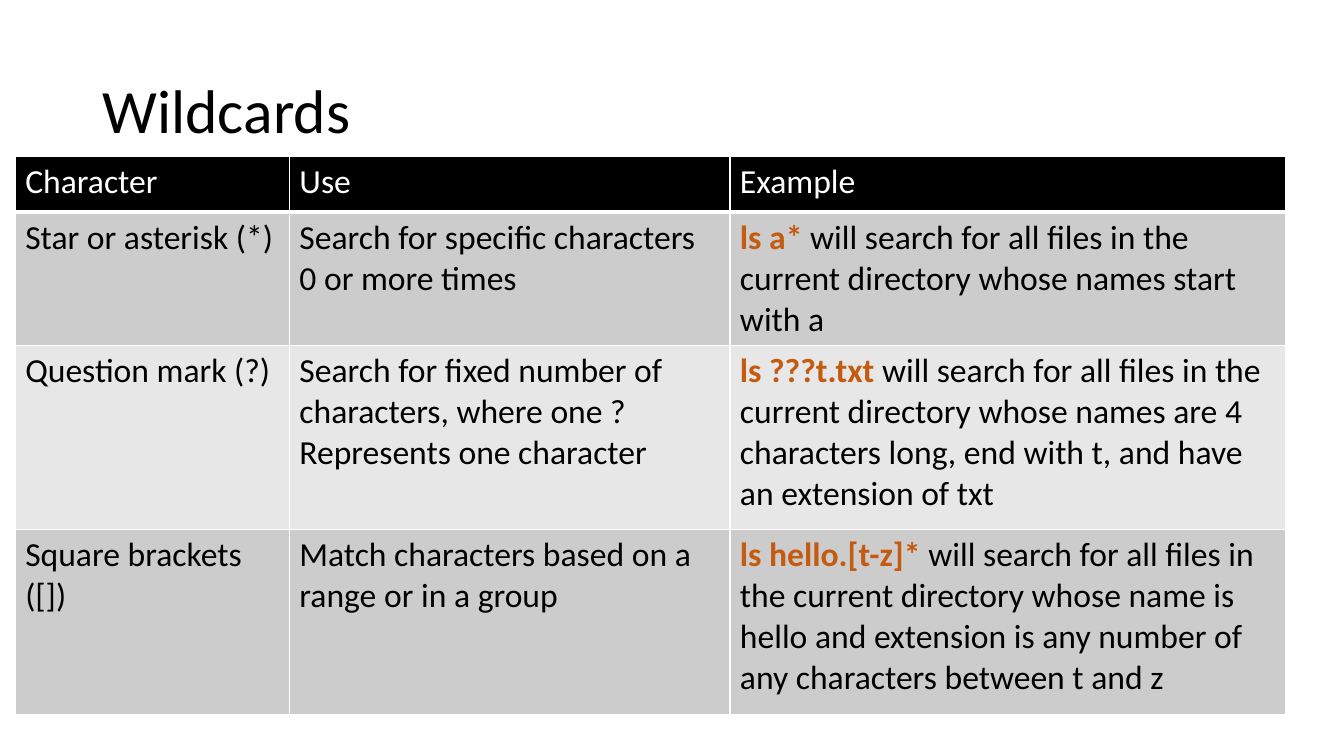
from dataclasses import dataclass

from lxml import etree
from pptx import Presentation
from pptx.dml.color import RGBColor
from pptx.enum.text import MSO_ANCHOR
from pptx.oxml.ns import qn
from pptx.util import Inches, Pt

MIDDLE = MSO_ANCHOR.MIDDLE
BLANK_LAYOUT = 6


@dataclass(frozen=True)
class Theme:
    """Colours, font and type sizes of the slide."""
    font: str = "Calibri"
    title_size: int = 44
    table_size: int = 24
    text: str = "000000"
    header_text: str = "FFFFFF"
    command: str = "C55A11"
    header_fill: str = "000000"
    bands: tuple = ("CCCCCC", "E7E7E7")
    border: str = "FFFFFF"
    border_width: float = 1
    header_rule_width: float = 3


class SlideBuilder:
    """Places styled elements on a slide, with lengths in percent of its size."""

    def __init__(self, presentation, theme):
        """Add a blank slide and remember its size and style."""
        self.width = presentation.slide_width
        self.height = presentation.slide_height
        self.theme = theme
        self.slide = presentation.slides.add_slide(presentation.slide_layouts[BLANK_LAYOUT])

    def across(self, percent):
        """Turn a percentage of the slide width into a length."""
        return round(self.width * percent / 100)

    def down(self, percent):
        """Turn a percentage of the slide height into a length."""
        return round(self.height * percent / 100)

    def style_run(self, run, size, color, bold=False):
        """Give a run its font, size, colour and weight."""
        run.font.name = self.theme.font
        run.font.size = Pt(size)
        run.font.bold = bold
        run.font.color.rgb = RGBColor.from_string(color)

    def add_title(self, text, left, top, width, height):
        """Add a vertically centred title."""
        shape = self.slide.shapes.add_textbox(
            self.across(left), self.down(top), self.across(width), self.down(height))
        frame = shape.text_frame
        frame.word_wrap = True
        frame.vertical_anchor = MIDDLE
        frame.text = text
        paragraph = frame.paragraphs[0]
        paragraph.line_spacing = 0.9
        self.style_run(paragraph.runs[0], self.theme.title_size, self.theme.text)

    def add_table(self, rows, left, top, column_widths, row_heights):
        """Add a banded table whose first row is the header."""
        table = self.slide.shapes.add_table(
            len(rows), len(column_widths), self.across(left), self.down(top),
            self.across(sum(column_widths)), self.down(sum(row_heights))).table
        for column, width in zip(table.columns, column_widths):
            column.width = self.across(width)
        for row, height in zip(table.rows, row_heights):
            row.height = self.down(height)
        for row_index, row in enumerate(rows):
            for column_index, content in enumerate(row):
                self.fill_cell(table.cell(row_index, column_index), content, row_index)

    def fill_cell(self, cell, content, row_index):
        """Write a cell; a pair holds a highlighted command and its explanation."""
        theme = self.theme
        is_header = row_index == 0
        color = theme.header_text if is_header else theme.text
        fill = theme.header_fill if is_header else theme.bands[(row_index - 1) % len(theme.bands)]
        cell.fill.solid()
        cell.fill.fore_color.rgb = RGBColor.from_string(fill)
        paragraph = cell.text_frame.paragraphs[0]
        command, text = content if isinstance(content, tuple) else ("", content)
        if command:
            run = paragraph.add_run()
            run.text = command
            self.style_run(run, theme.table_size, theme.command, bold=True)
        run = paragraph.add_run()
        run.text = text
        self.style_run(run, theme.table_size, color)
        self.draw_borders(cell, theme.header_rule_width if is_header else theme.border_width)

    def draw_borders(self, cell, bottom_width):
        """Draw the four cell borders, ahead of the fill as the schema asks."""
        properties = cell._tc.get_or_add_tcPr()
        for index, side in enumerate("LRTB"):
            width = bottom_width if side == "B" else self.theme.border_width
            line = etree.Element(qn(f"a:ln{side}"), w=str(Pt(width)))
            solid_fill = etree.SubElement(line, qn("a:solidFill"))
            etree.SubElement(solid_fill, qn("a:srgbClr"), val=self.theme.border)
            properties.insert(index, line)


WILDCARDS = [
    ("Character", "Use", "Example"),
    ("Star or asterisk (*)",
     "Search for specific characters 0 or more times",
     ("ls a*",
      " will search for all files in the current directory whose names start with a")),
    ("Question mark (?)",
     "Search for fixed number of characters, where one ? Represents one character",
     ("ls ???t.txt",
      " will search for all files in the current directory whose names are 4 "
      "characters long, end with t, and have an extension of txt")),
    ("Square brackets ([])",
     "Match characters based on a range or in a group",
     ("ls hello.[t-z]*",
      " will search for all files in the current directory whose name is hello "
      "and extension is any number of any characters between t and z")),
]


def main():
    """Build the wildcards slide and save it."""
    presentation = Presentation()
    presentation.slide_width = Inches(13.33)
    presentation.slide_height = Inches(7.5)
    builder = SlideBuilder(presentation, Theme())
    builder.add_title("Wildcards", left=6.9, top=5.33, width=86.25, height=19.33)
    builder.add_table(WILDCARDS, left=1.13, top=20.67,
                      column_widths=(20.4, 32.78, 41.33),
                      row_heights=(7.4, 17.6, 24.4, 24.4))
    presentation.save("out.pptx")


main()
